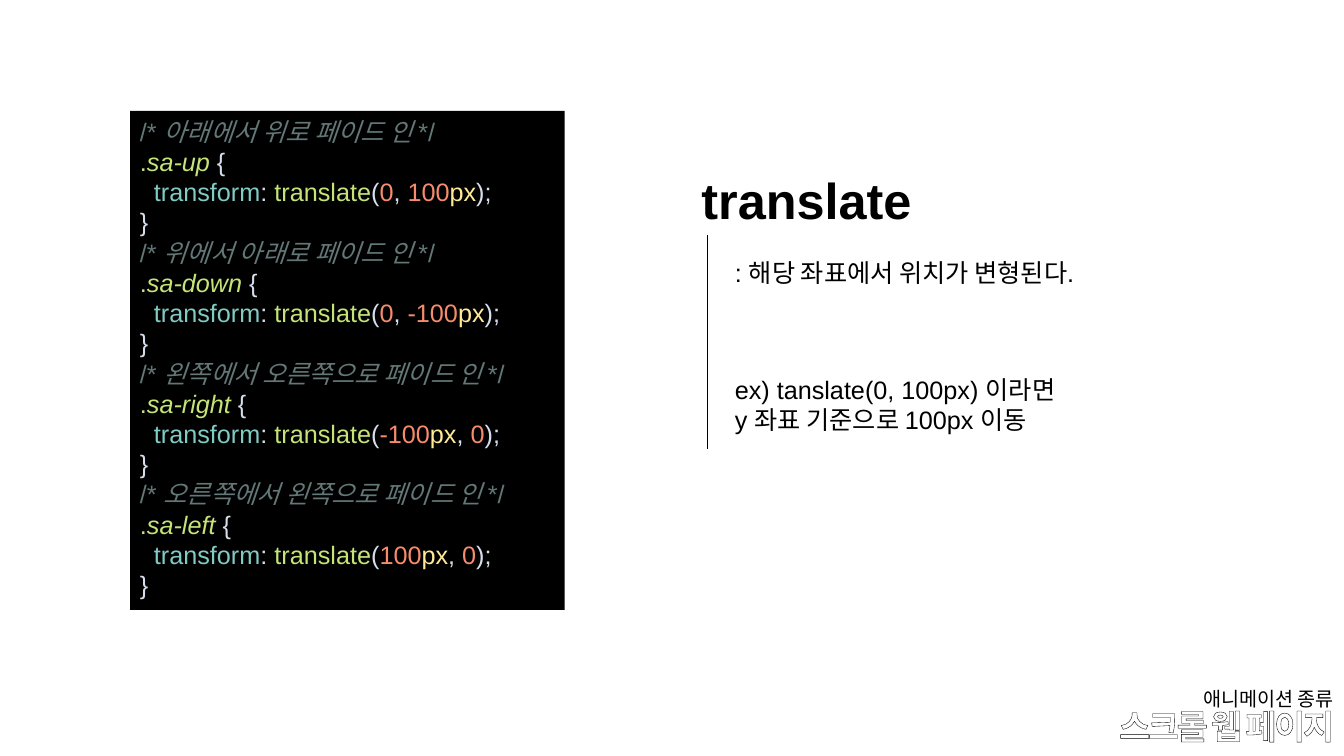
import dataclasses
import typing

import pptx
import pptx.dml.color
import pptx.enum.shapes
import pptx.enum.text
import pptx.oxml
import pptx.oxml.ns
import pptx.util

RGB = pptx.dml.color.RGBColor
BLACK = RGB(0x00, 0x00, 0x00)
WHITE = RGB(0xFF, 0xFF, 0xFF)
GREY = RGB(0x63, 0x77, 0x77)
LIME = RGB(0xC5, 0xE4, 0x78)
PALE = RGB(0xD6, 0xDE, 0xEB)
TEAL = RGB(0x80, 0xCB, 0xC4)
CORAL = RGB(0xF7, 0x8C, 0x6C)
YELLOW = RGB(0xFF, 0xEB, 0x95)

LEFT = pptx.enum.text.PP_ALIGN.LEFT
RIGHT = pptx.enum.text.PP_ALIGN.RIGHT
TOP = pptx.enum.text.MSO_ANCHOR.TOP
MIDDLE = pptx.enum.text.MSO_ANCHOR.MIDDLE
WIDE = pptx.util.Inches(13.33)
HIGH = pptx.util.Inches(7.5)
KOREAN = "Noto Sans CJK KR"


class Area(typing.NamedTuple):
    left: float
    top: float
    width: float
    height: float


class Token(typing.NamedTuple):
    text: str
    color: RGB
    slant: bool = False


@dataclasses.dataclass
class Label:
    area: Area
    text: str
    size: float
    bold: bool = False
    face: str = "Arial"
    color: RGB = BLACK
    align: int = LEFT
    anchor: int = TOP
    wrap: bool = True


@dataclasses.dataclass
class Rule:
    note: str
    name: str
    shift: tuple[str, str]


LABELS = [
    Label(Area(86.35, 90.27, 13.65, 4.4), "애니메이션 종류", 14, align=RIGHT, wrap=False),
    Label(Area(51.46, 21.73, 17.33, 9.47), "translate", 36, bold=True, wrap=False),
    Label(Area(53.94, 33.33, 26.71, 5.33), ": 해당 좌표에서 위치가 변형된다.", 18),
    Label(Area(53.94, 48.8, 26.71, 9.47),
          "ex) tanslate(0, 100px) 이라면\ny 좌표 기준으로 100px 이동", 18),
]
TITLE = Label(Area(77.5, 92.53, 22.5, 7.6), "스크롤 웹 페이지", 24, bold=True,
              face=KOREAN, color=WHITE, align=RIGHT, anchor=MIDDLE)
CODE = Area(9.68, 14.67, 32.33, 66)
BAR = Area(52.66, 31.07, 0, 28.26)
RULES = [
    Rule("아래에서 위로 페이드 인", "sa-up", ("0", "100px")),
    Rule("위에서 아래로 페이드 인", "sa-down", ("0", "-100px")),
    Rule("왼쪽에서 오른쪽으로 페이드 인", "sa-right", ("-100px", "0")),
    Rule("오른쪽에서 왼쪽으로 페이드 인", "sa-left", ("100px", "0")),
]


def place(area: Area) -> list[int]:
    return [round(share * side / 100)
            for share, side in zip(area, (WIDE, HIGH, WIDE, HIGH))]


def style(run, size: float, color: RGB, face: str = "Arial",
          bold: bool = False, slant: bool = False) -> None:
    font = run.font
    font.size = pptx.util.Pt(size)
    font.name = face
    font.bold = bold
    font.italic = slant
    font.color.rgb = color


def write(slide, label: Label):
    box = slide.shapes.add_textbox(*place(label.area))
    frame = box.text_frame
    frame.word_wrap = label.wrap
    frame.vertical_anchor = label.anchor
    frame.text = label.text
    for line in frame.paragraphs:
        line.alignment = label.align
        for run in line.runs:
            style(run, label.size, label.color, label.face, label.bold)
    return box


def outline(box) -> None:
    line = box.text_frame.paragraphs[0]
    line.line_spacing = 0.9
    props = line.runs[0].font._element
    props.set("spc", "-150")
    space = pptx.oxml.ns.nsdecls("a")
    props.insert(0, pptx.oxml.parse_xml(
        f'<a:ln {space} w="3175"><a:solidFill><a:srgbClr val="{BLACK}"/>'
        '</a:solidFill></a:ln>'))
    props.append(pptx.oxml.parse_xml(f'<a:ea {space} typeface="{KOREAN}"/>'))


def number(value: str) -> list[Token]:
    digits = value.removesuffix("px")
    tokens = [Token(digits, CORAL)]
    if digits != value:
        tokens.append(Token("px", YELLOW))
    return tokens


def lines(rule: Rule) -> list[list[Token]]:
    across, down = rule.shift
    return [
        [Token("/* ", GREY), Token(rule.note + " ", GREY, True), Token("*/", GREY)],
        [Token(".", LIME), Token(rule.name, LIME, True), Token(" {", PALE)],
        [Token("  ", PALE), Token("transform", TEAL), Token(": ", PALE),
         Token("translate", LIME), Token("(", PALE), *number(across),
         Token(", ", PALE), *number(down), Token(");", PALE)],
        [Token("}", PALE)],
    ]


def draw_code(slide) -> None:
    panel = slide.shapes.add_shape(
        pptx.enum.shapes.MSO_SHAPE.RECTANGLE, *place(CODE))
    panel.shadow.inherit = False
    panel.fill.solid()
    panel.fill.fore_color.rgb = BLACK
    panel.line.fill.background()
    frame = panel.text_frame
    frame.word_wrap = True
    frame.vertical_anchor = TOP
    rows = [row for rule in RULES for row in lines(rule)]
    for index, row in enumerate(rows):
        line = frame.add_paragraph() if index else frame.paragraphs[0]
        line.alignment = LEFT
        for token in row:
            run = line.add_run()
            run.text = token.text
            style(run, 18, token.color, slant=token.slant)


def draw_bar(slide) -> None:
    left, top, width, height = place(BAR)
    bar = slide.shapes.add_connector(
        pptx.enum.shapes.MSO_CONNECTOR.STRAIGHT,
        left, top, left + width, top + height)
    bar.line.color.rgb = BLACK
    bar.line.width = pptx.util.Pt(0.5)
    bar._element.spPr.append(pptx.oxml.parse_xml(
        f'<a:effectLst {pptx.oxml.ns.nsdecls("a")}/>'))


def main() -> None:
    deck = pptx.Presentation()
    deck.slide_width = WIDE
    deck.slide_height = HIGH
    slide = deck.slides.add_slide(deck.slide_layouts[6])
    outline(write(slide, TITLE))
    draw_code(slide)
    draw_bar(slide)
    for label in LABELS:
        write(slide, label)
    deck.save("out.pptx")


if __name__ == "__main__":
    main()
